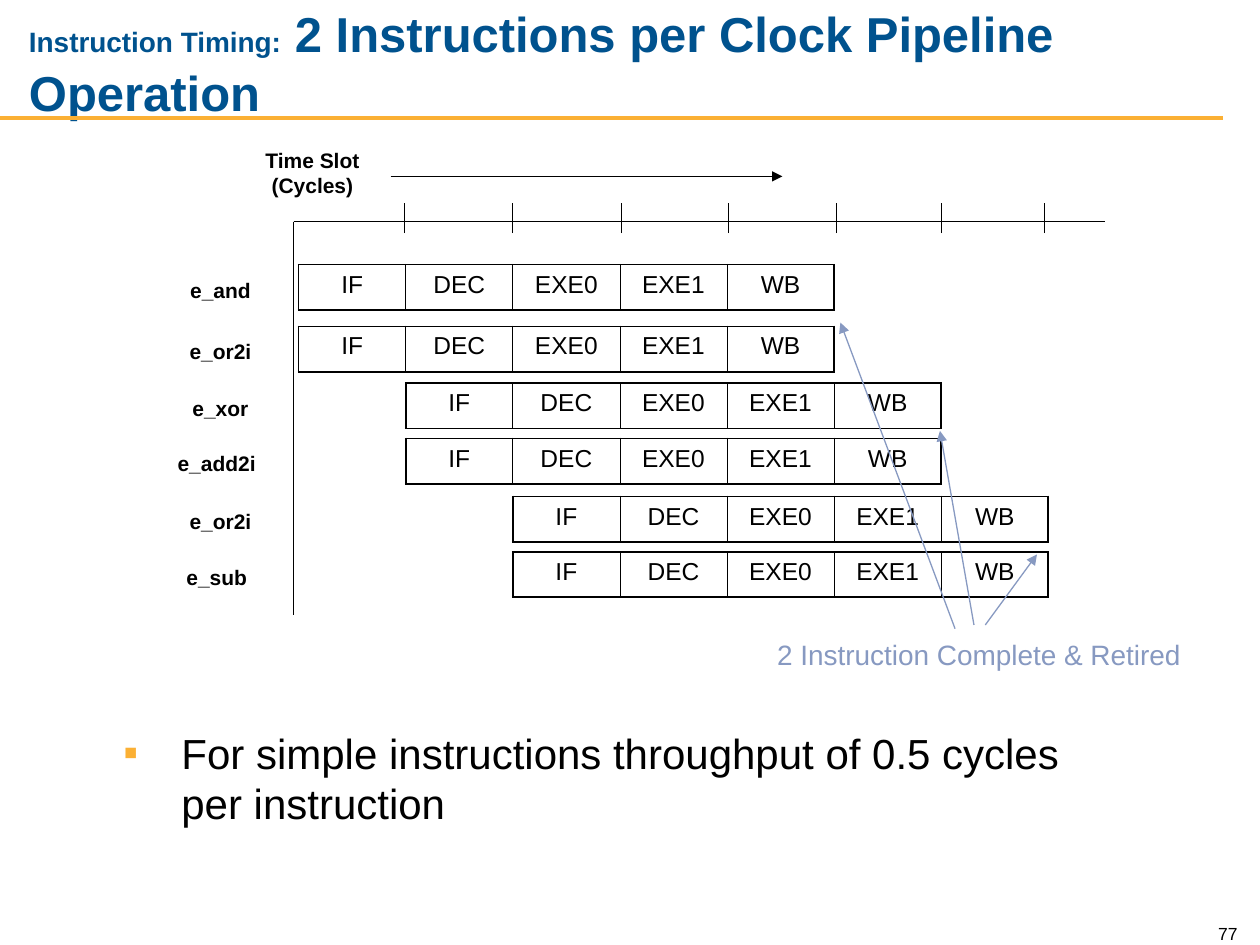
from dataclasses import dataclass

from pptx import Presentation
from pptx.dml.color import RGBColor
from pptx.enum.shapes import MSO_CONNECTOR
from pptx.enum.text import MSO_ANCHOR, MSO_AUTO_SIZE, PP_ALIGN
from pptx.oxml.ns import qn
from pptx.util import Inches, Pt
from lxml.etree import SubElement

BLACK = RGBColor(0x00, 0x00, 0x00)
TITLE_BLUE = RGBColor(0x00, 0x52, 0x8E)
AMBER = RGBColor(0xFB, 0xB0, 0x34)
PERIWINKLE = RGBColor(0x87, 0x99, 0xC1)

FONT = "Arial"
STAGES = ["IF", "DEC", "EXE0", "EXE1", "WB"]
STAGE_WIDTH = 0.85
STAGE_HEIGHT = 0.36
FIRST_SLOT_LEFT = 2.37
AXIS_LEFT = 2.33
AXIS_TOP = 1.76
THIN, THICK = 0.45, 1.08


@dataclass
class Instruction:
    mnemonic: str
    start_slot: int
    top: float
    label_left: float = 1.2


@dataclass
class Line:
    start: tuple[float, float]
    end: tuple[float, float]
    color: RGBColor = BLACK
    width: float = 0.75
    arrow: bool = False


INSTRUCTIONS = [
    Instruction("e_and", 0, 2.1),
    Instruction("e_or2i", 0, 2.59),
    Instruction("e_xor", 1, 3.04),
    Instruction("e_add2i", 1, 3.48, 1.17),
    Instruction("e_or2i", 2, 3.94),
    Instruction("e_sub", 2, 4.38, 1.17),
]
TICKS = [3.21, 4.07, 4.93, 5.78, 6.64, 7.47, 8.29]

AXIS_LINES = [
    Line((0, 0.94), (9.71, 0.94), AMBER, 2.25),
    Line((AXIS_LEFT, AXIS_TOP), (8.77, AXIS_TOP)),
    Line((AXIS_LEFT, AXIS_TOP), (AXIS_LEFT, 4.88)),
    Line((3.1, 1.4), (6.21, 1.4), arrow=True),
    *[Line((tick, 1.85), (tick, 1.61)) for tick in TICKS],
]
RETIRE_ARROWS = [
    Line((7.58, 4.99), (6.67, 2.56), PERIWINKLE, arrow=True),
    Line((7.73, 4.96), (7.46, 3.42), PERIWINKLE, arrow=True),
    Line((7.82, 4.96), (8.23, 4.4), PERIWINKLE, arrow=True),
]


def place(shape, left: float, top: float, width: float, height: float) -> None:
    shape.left, shape.top = Inches(left), Inches(top)
    shape.width, shape.height = Inches(width), Inches(height)


def style(run, size: float, color: RGBColor = BLACK, bold: bool = False) -> None:
    run.font.name = FONT
    run.font.size = Pt(size)
    run.font.bold = bold
    run.font.color.rgb = color


def draw_line(slide, line: Line) -> None:
    connector = slide.shapes.add_connector(
        MSO_CONNECTOR.STRAIGHT, *map(Inches, line.start + line.end)
    )
    connector.line.color.rgb = line.color
    connector.line.width = Pt(line.width)
    if line.arrow:
        SubElement(connector.line._get_or_add_ln(), qn("a:tailEnd"), type="triangle")
    SubElement(connector._element.spPr, qn("a:effectLst"))


def draw_text(slide, text: str, left: float, top: float, width: float, height: float,
              size: float, color: RGBColor = BLACK, bold: bool = False,
              align: PP_ALIGN = PP_ALIGN.CENTER,
              anchor: MSO_ANCHOR = MSO_ANCHOR.TOP) -> None:
    label = slide.shapes.add_textbox(*map(Inches, (left, top, width, height)))
    frame = label.text_frame
    frame.word_wrap = True
    frame.vertical_anchor = anchor
    frame.text = text
    frame.paragraphs[0].alignment = align
    style(frame.paragraphs[0].runs[0], size, color, bold)


def set_borders(cell, left: float, right: float) -> None:
    properties = cell._tc.get_or_add_tcPr()
    widths = {"a:lnL": left, "a:lnR": right, "a:lnT": THICK, "a:lnB": THICK}
    for tag, width in widths.items():
        border = SubElement(properties, qn(tag), w=str(Pt(width)))
        fill = SubElement(border, qn("a:solidFill"))
        SubElement(fill, qn("a:srgbClr"), val=str(BLACK))


def draw_pipeline(slide, instruction: Instruction) -> None:
    left = FIRST_SLOT_LEFT + instruction.start_slot * STAGE_WIDTH
    pipeline = slide.shapes.add_table(
        1, len(STAGES), Inches(left), Inches(instruction.top),
        Inches(STAGE_WIDTH * len(STAGES)), Inches(STAGE_HEIGHT),
    ).table
    pipeline.first_row = False
    pipeline.horz_banding = False
    for index, stage in enumerate(STAGES):
        cell = pipeline.cell(0, index)
        set_borders(cell, THICK if index == 0 else THIN,
                    THICK if index == len(STAGES) - 1 else THIN)
        cell.fill.background()
        cell.text_frame.text = stage
        paragraph = cell.text_frame.paragraphs[0]
        paragraph.alignment = PP_ALIGN.CENTER
        style(paragraph.runs[0], 14)


def fill_title(slide) -> None:
    title = slide.shapes.title
    place(title, 0.13, 0.12, 8.79, 0.75)
    frame = title.text_frame
    frame.auto_size = MSO_AUTO_SIZE.NONE
    frame.vertical_anchor = MSO_ANCHOR.MIDDLE
    paragraph = frame.paragraphs[0]
    paragraph.alignment = PP_ALIGN.LEFT
    for text, size in [("Instruction Timing:", 16),
                       (" 2 Instructions per Clock Pipeline Operation", 28)]:
        run = paragraph.add_run()
        run.text = text
        style(run, size, TITLE_BLUE, True)


def fill_body(slide) -> None:
    body = slide.placeholders[1]
    place(body, 0.88, 5.72, 8.2, 0.9)
    frame = body.text_frame
    frame.auto_size = MSO_AUTO_SIZE.NONE
    frame.text = "For simple instructions throughput of 0.5 cycles per instruction"
    paragraph = frame.paragraphs[0]
    paragraph.space_before = Pt(0)
    properties = paragraph._p.get_or_add_pPr()
    properties.set("marL", str(Inches(0.46)))
    properties.set("indent", str(-Inches(0.46)))
    bullet_color = SubElement(properties, qn("a:buClr"))
    SubElement(bullet_color, qn("a:srgbClr"), val=str(AMBER))
    SubElement(properties, qn("a:buFont"), typeface=FONT)
    SubElement(properties, qn("a:buChar"), char="▪")
    style(paragraph.runs[0], 24)


def main() -> None:
    presentation = Presentation()
    presentation.slide_width = Inches(10)
    presentation.slide_height = Inches(7.5)
    slide = presentation.slides.add_slide(presentation.slide_layouts[1])

    fill_title(slide)
    fill_body(slide)
    for line in AXIS_LINES:
        draw_line(slide, line)
    draw_text(slide, "Time Slot (Cycles)", 1.93, 1.12, 1.1, 0.5, 12, bold=True)
    for instruction in INSTRUCTIONS:
        draw_text(slide, instruction.mnemonic, instruction.label_left,
                  instruction.top + 0.05, 1.1, 0.3, 12, bold=True)
        draw_pipeline(slide, instruction)
    draw_text(slide, "2 Instruction Complete & Retired", 6.07, 5.01, 3.63, 0.37,
              16, PERIWINKLE, align=PP_ALIGN.LEFT)
    for arrow in RETIRE_ARROWS:
        draw_line(slide, arrow)
    draw_text(slide, "77", 9.42, 7.24, 0.5, 0.3, 10,
              align=PP_ALIGN.RIGHT, anchor=MSO_ANCHOR.BOTTOM)

    presentation.save("out.pptx")


if __name__ == "__main__":
    main()
